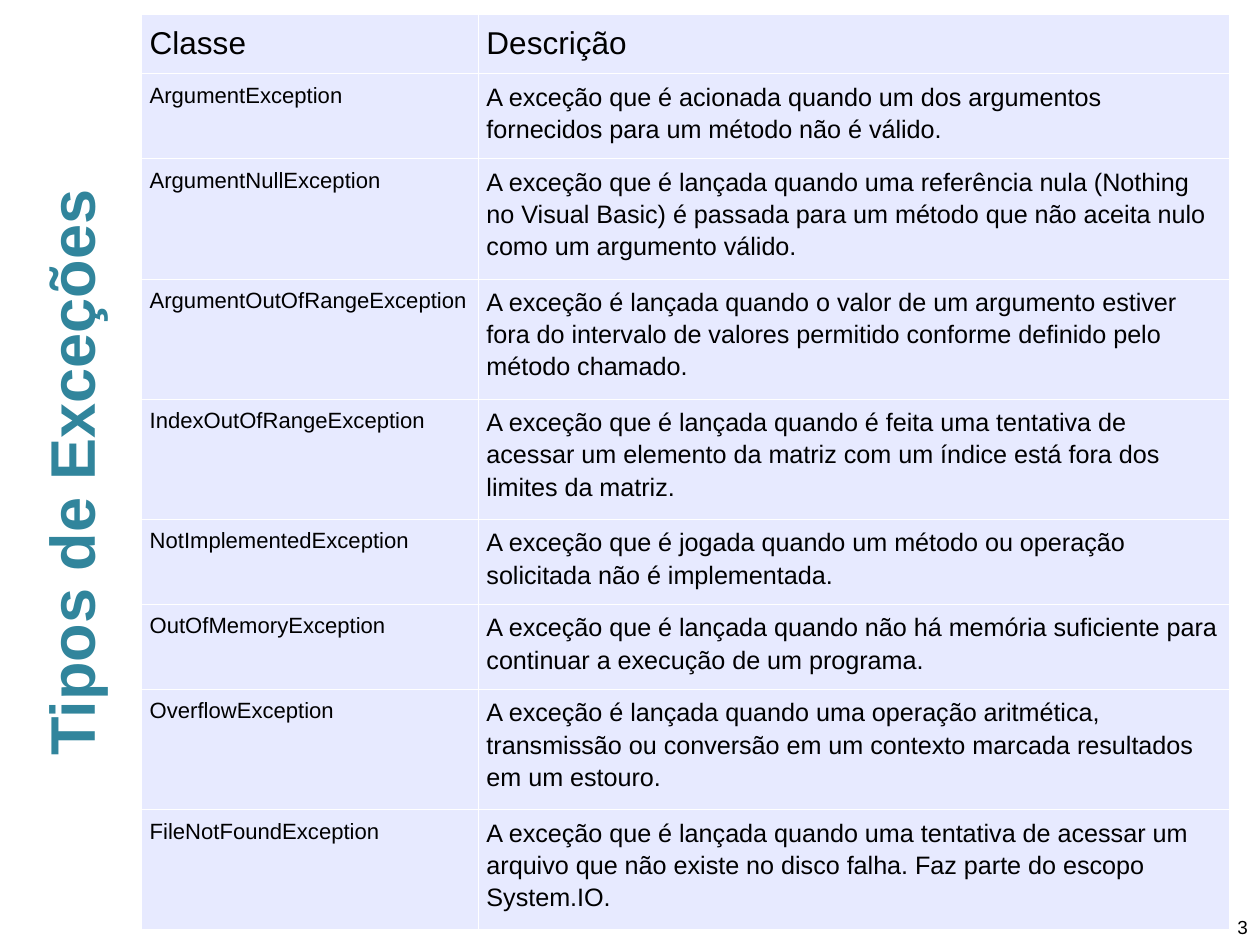
import lxml.etree
import pptx
import pptx.dml.color
import pptx.enum.text
import pptx.oxml
import pptx.oxml.ns
import pptx.util

TEAL = pptx.dml.color.RGBColor(0x31, 0x85, 0x9C)
LAVENDER = pptx.dml.color.RGBColor(0xE7, 0xEA, 0xFF)
WHITE = pptx.dml.color.RGBColor(0xFF, 0xFF, 0xFF)
BLACK = pptx.dml.color.RGBColor(0x00, 0x00, 0x00)

HEADINGS = ("Classe", "Descrição")
HEADING_HEIGHT = 6.24
HEIGHT_BY_LINES = {2: 9, 3: 12.72}
EXCEPTIONS = [
    (2, "ArgumentException",
     "A exceção que é acionada quando um dos argumentos fornecidos para um método não é válido."),
    (3, "ArgumentNullException",
     "A exceção que é lançada quando uma referência nula (Nothing no Visual Basic) é passada "
     "para um método que não aceita nulo como um argumento válido."),
    (3, "ArgumentOutOfRangeException",
     "A exceção é lançada quando o valor de um argumento estiver fora do intervalo de valores "
     "permitido conforme definido pelo método chamado."),
    (3, "IndexOutOfRangeException",
     "A exceção que é lançada quando é feita uma tentativa de acessar um elemento da matriz "
     "com um índice está fora dos limites da matriz."),
    (2, "NotImplementedException",
     "A exceção que é jogada quando um método ou operação solicitada não é implementada."),
    (2, "OutOfMemoryException",
     "A exceção que é lançada quando não há memória suficiente para continuar a execução "
     "de um programa."),
    (3, "OverflowException",
     "A exceção é lançada quando uma operação aritmética, transmissão ou conversão em um "
     "contexto marcada resultados em um estouro."),
    (3, "FileNotFoundException",
     "A exceção que é lançada quando uma tentativa de acessar um arquivo que não existe no "
     "disco falha. Faz parte do escopo System.IO."),
]


class SlideBuilder:
    """Places styled elements on a page, with lengths in percent of its size."""

    font = "Arial"

    def __init__(self, deck):
        self.deck = deck
        self.page = deck.slides.add_slide(deck.slide_layouts[5])
        self.page.background.fill.solid()
        self.page.background.fill.fore_color.rgb = WHITE

    def across(self, share):
        return round(self.deck.slide_width * share / 100)

    def down(self, share):
        return round(self.deck.slide_height * share / 100)

    def set_text(self, frame, text, size, color=BLACK, bold=False, align=None, spacing=None):
        frame.text = text
        frame.word_wrap = True
        para = frame.paragraphs[0]
        para.alignment = align
        para.line_spacing = spacing
        for span in para.runs:
            span.font.name = self.font
            span.font.size = pptx.util.Pt(size)
            span.font.bold = bold
            span.font.color.rgb = color

    def side_title(self, text, band):
        box = self.page.shapes.title
        length, thickness = self.deck.slide_height, self.across(band)
        box.left, box.top = (thickness - length) // 2, (length - thickness) // 2
        box.width, box.height = length, thickness
        box.rotation = 270
        self.set_text(box.text_frame, text, 40, TEAL, True, pptx.enum.text.PP_ALIGN.CENTER)
        box.text_frame.vertical_anchor = pptx.enum.text.MSO_ANCHOR.MIDDLE

    def page_number(self, text, left, top, width, height):
        box = self.page.shapes.add_textbox(
            self.across(left), self.down(top), self.across(width), self.down(height))
        self.set_text(box.text_frame, text, 12, align=pptx.enum.text.PP_ALIGN.RIGHT)
        box.text_frame.vertical_anchor = pptx.enum.text.MSO_ANCHOR.MIDDLE

    def table(self, rows, left, top, widths, heights):
        table = self.page.shapes.add_table(
            len(rows), len(widths), self.across(left), self.down(top),
            self.across(sum(widths)), self.down(sum(heights))).table
        table.first_row = table.horz_banding = False
        for column, width in zip(table.columns, widths):
            column.width = self.across(width)
        for number, (row, height, texts) in enumerate(zip(table.rows, heights, rows)):
            row.height = self.down(height)
            sizes = (14, 16) if number else (20, 20)
            for cell, text, size in zip(row.cells, texts, sizes):
                self.cell(cell, text, size)

    def cell(self, cell, text, size):
        cell.margin_left = cell.margin_right = pptx.util.Inches(0.07)
        cell.margin_top = cell.margin_bottom = pptx.util.Inches(0.05)
        self.set_text(cell.text_frame, text, size, spacing=1.15)
        properties = cell._tc.get_or_add_tcPr()
        qualify = pptx.oxml.ns.qn
        for side in ("L", "R", "T", "B"):
            line = lxml.etree.SubElement(
                properties, qualify(f"a:ln{side}"), w=str(pptx.util.Pt(0.45)))
            paint = lxml.etree.SubElement(line, qualify("a:solidFill"))
            lxml.etree.SubElement(paint, qualify("a:srgbClr"), val=str(WHITE))
        cell.fill.solid()
        cell.fill.fore_color.rgb = LAVENDER


def main():
    deck = pptx.Presentation()
    deck.slide_width = pptx.util.Inches(11.11)
    deck.slide_height = pptx.util.Inches(8.33)
    builder = SlideBuilder(deck)
    builder.side_title("Tipos de Exceções", band=11.07)
    builder.page_number("3", 95.05, 96.28, 4.86, 3.72)
    rows = [HEADINGS] + [(name, meaning) for _, name, meaning in EXCEPTIONS]
    heights = [HEADING_HEIGHT] + [HEIGHT_BY_LINES[lines] for lines, _, _ in EXCEPTIONS]
    builder.table(rows, 11.25, 1.56, (26.73, 59.59), heights)
    deck.save("out.pptx")


if __name__ == "__main__":
    main()
